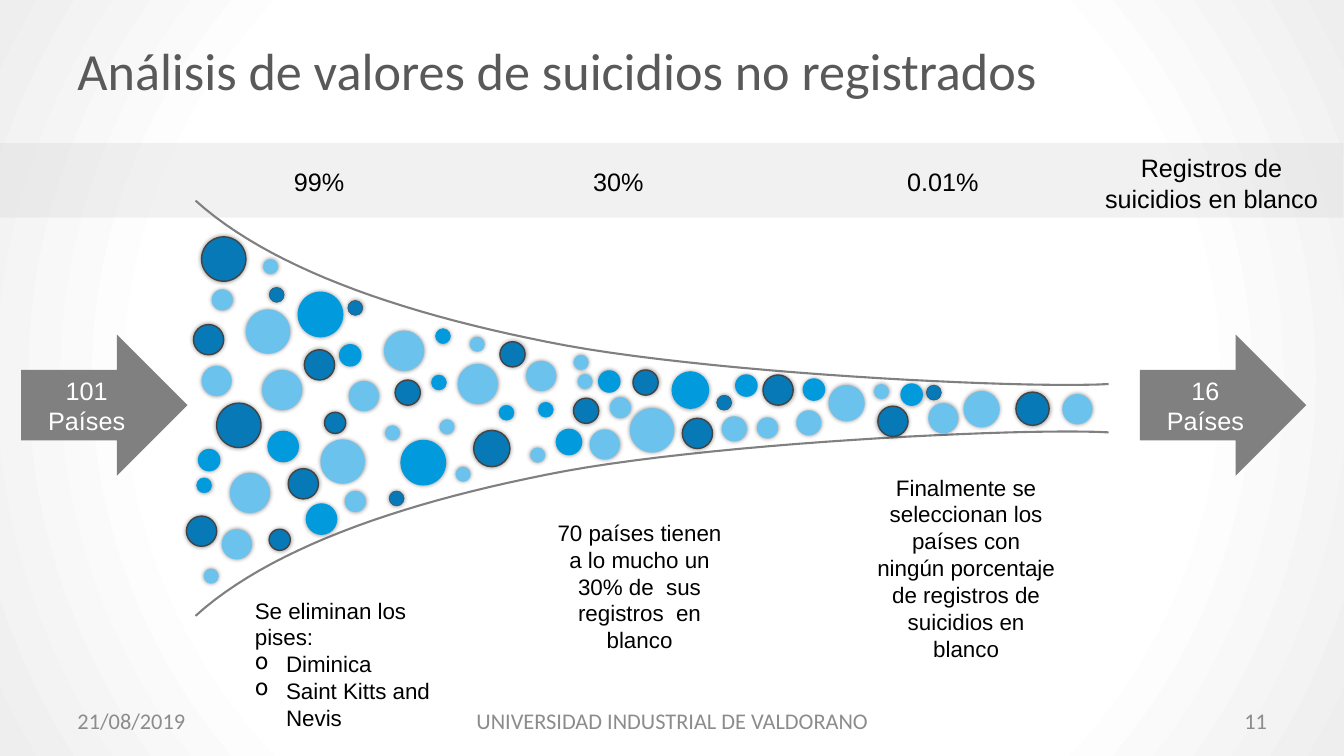
"""Build the funnel slide on unregistered suicide values."""
from dataclasses import dataclass

from lxml import etree
from pptx import Presentation
from pptx import util as u
from pptx.dml import color
from pptx.enum import shapes, text
from pptx.oxml.ns import qn

COLORS = {
    "white": "FFFFFF", "edge": "EEEEEE", "band": "D9D9D9", "gray": "808080",
    "title": "595959", "footer": "8C8C8C", "black": "000000", "outline": "434343",
    "light": "6BC2ED", "mid": "019ADD", "dark": "0779B7",
}
OUTLINES = {"light": None, "mid": "mid", "dark": "outline"}
ALIGN = {"l": text.PP_ALIGN.LEFT, "c": text.PP_ALIGN.CENTER, "r": text.PP_ALIGN.RIGHT}
MIRROR = 8.1
STEPS = 24
FUNNEL = [
    [(11, 3.81), (10.15, 3.86), (6.93, 3.7), (5.42, 3.39)],
    [(5.42, 3.39), (3.91, 3.09), (2.66, 2.64), (1.94, 1.99)],
]


@dataclass
class Dot:
    left: float
    top: float
    size: float
    tone: str


@dataclass
class Label:
    words: str
    left: float
    top: float
    width: float
    height: float
    size: float = 18
    font: str = "Arial"
    tone: str = "black"
    align: str = "c"
    middle: bool = True


DOTS = {
    "light": [
        (2.6, 3.67, 0.4), (3.18, 4.36, 0.44), (3.42, 4.87, 0.21), (4.54, 3.61, 0.4),
        (3.81, 3.28, 0.4), (5.22, 3.58, 0.3), (4.36, 4.16, 0.15), (5.26, 4.44, 0.15),
        (3.82, 4.22, 0.15), (4.52, 4.63, 0.15), (4.66, 3.34, 0.15), (3.46, 3.78, 0.3),
        (2.61, 2.57, 0.15), (2.44, 3.07, 0.44), (2.1, 2.87, 0.21), (2, 3.63, 0.3),
        (2.28, 4.69, 0.4), (2.2, 5.25, 0.3), (2.02, 5.64, 0.15), (7.16, 4.13, 0.25),
        (6.25, 4.05, 0.44), (6.05, 3.94, 0.21), (5.85, 4.26, 0.3), (5.69, 3.52, 0.15),
        (5.73, 3.71, 0.15), (8.22, 3.82, 0.36), (9.21, 4, 0.3), (7.9, 4.07, 0.25),
        (8.67, 3.81, 0.15), (7.51, 4.14, 0.21), (10.54, 3.91, 0.3), (9.56, 3.88, 0.36),
    ],
    "mid": [
        (2.96, 2.9, 0.44), (3.37, 3.42, 0.21), (3.98, 4.37, 0.44), (5.34, 3.99, 0.15),
        (4.32, 3.26, 0.15), (4.95, 4.02, 0.15), (4.28, 3.72, 0.15), (2.66, 4.28, 0.3),
        (1.95, 4.74, 0.15), (3.04, 5, 0.3), (1.97, 4.46, 0.21), (6.67, 3.69, 0.36),
        (7.3, 3.72, 0.21), (5.94, 3.68, 0.21), (8.94, 3.81, 0.21), (7.97, 3.76, 0.21),
        (5.52, 4.26, 0.25),
    ],
    "dark": [
        (2, 2.35, 0.44), (3.22, 4.09, 0.21), (4.7, 4.27, 0.36), (3.92, 3.77, 0.25),
        (3.86, 4.87, 0.15), (4.96, 3.39, 0.25), (2.15, 4, 0.44), (3.02, 3.47, 0.3),
        (1.92, 3.22, 0.3), (3.45, 2.98, 0.15), (2.67, 2.85, 0.15), (2.67, 5.25, 0.21),
        (2.86, 4.65, 0.3), (1.85, 5.12, 0.3), (6.77, 4.15, 0.3), (6.28, 3.67, 0.25),
        (7.11, 3.92, 0.15), (5.69, 3.95, 0.25), (8.71, 4.03, 0.3), (9.19, 3.82, 0.15),
        (7.57, 3.72, 0.3), (10.08, 3.89, 0.33),
    ],
}
TITLE = Label("Análisis de valores de suicidios no registrados", 0.67, 0.3, 12, 0.78,
              size=37.3, font="Calibri", tone="title", align="l")
FOOTER = {"size": 16, "font": "Calibri", "tone": "footer"}
NOTE = {"size": 16, "middle": False}
LABELS = [
    Label("99%", 2.17, 1.44, 1.99, 0.73),
    Label("30%", 5.18, 1.44, 1.91, 0.73),
    Label("0.01%", 8.41, 1.44, 1.89, 0.73),
    Label("Registros de suicidios en blanco", 10.85, 1.45, 2.34, 0.73),
    Label("70 países tienen a lo mucho un 30% de  sus registros  en blanco",
          5.35, 5.1, 1.99, 1.23, **NOTE),
    Label("Finalmente se seleccionan los países con ningún porcentaje de registros "
          "de suicidios en blanco", 8.59, 4.65, 1.99, 1.23, **NOTE),
    Label("21/08/2019", 0.67, 6.95, 3.11, 0.4, align="l", **FOOTER),
    Label("UNIVERSIDAD INDUSTRIAL DE VALDORANO", 4.56, 6.95, 4.22, 0.4, **FOOTER),
    Label("11", 9.56, 6.95, 3.11, 0.4, align="r", **FOOTER),
]
REMOVED = Label("Se eliminan los pises:", 2.43, 5.87, 1.99, 1.23, align="l", **NOTE)
REMOVED_COUNTRIES = ["Diminica", "Saint Kitts and Nevis"]
ARROWS = [
    Label("101 Países", 0.21, 3.32, 1.65, 1.4, tone="white"),
    Label("16 Países", 11.31, 3.32, 1.65, 1.4, tone="white"),
]


def cm(inches: float) -> u.Length:
    return u.Cm(inches * 2.54)


def rgb(name: str) -> color.RGBColor:
    return color.RGBColor.from_string(COLORS[name])


def add_alpha(parent, percent: int) -> None:
    etree.SubElement(parent, qn("a:alpha"), val=str(percent * 1000))


def write(p, words: str, *, size: float, font: str, tone: str, align: str) -> None:
    p.alignment = ALIGN[align]
    r = p.add_run()
    r.text = words
    r.font.size, r.font.name = u.Pt(size), font
    r.font.color.rgb = rgb(tone)


def write_label(sp, label: Label, bullets: list[str]) -> None:
    tf = sp.text_frame
    tf.word_wrap = True
    tf.vertical_anchor = text.MSO_ANCHOR.MIDDLE if label.middle else text.MSO_ANCHOR.TOP
    style = {"size": label.size, "font": label.font, "tone": label.tone, "align": label.align}
    write(tf.paragraphs[0], label.words, **style)
    for words in bullets:
        p = tf.add_paragraph()
        write(p, words, **style)
        pPr = p._p.get_or_add_pPr()
        indent = cm(0.31)
        pPr.set("marL", str(indent))
        pPr.set("indent", str(-indent))
        etree.SubElement(pPr, qn("a:buChar"), char="o")


def add_label(s, label: Label, bullets: list[str] = ()) -> None:
    sp = s.shapes.add_textbox(*map(cm, (label.left, label.top, label.width, label.height)))
    write_label(sp, label, bullets)


def add_filled(s, kind, box: tuple, fill: str):
    sp = s.shapes.add_shape(kind, *map(cm, box))
    sp.shadow.inherit = False
    sp.fill.solid()
    sp.fill.fore_color.rgb = rgb(fill)
    sp.line.fill.background()
    return sp


def add_dot(s, dot: Dot) -> None:
    sp = add_filled(s, shapes.MSO_SHAPE.OVAL, (dot.left, dot.top, dot.size, dot.size), dot.tone)
    if OUTLINES[dot.tone]:
        sp.line.color.rgb = rgb(OUTLINES[dot.tone])
        sp.line.width = u.Pt(0.25 if dot.size < 0.2 else 1)
    effects = sp.element.spPr.find(qn("a:effectLst"))
    shadow = etree.SubElement(effects, qn("a:outerShdw"), blurRad=str(u.Pt(3)), dist="0", dir="0")
    add_alpha(etree.SubElement(shadow, qn("a:srgbClr"), val=COLORS["black"]), 40)


def bezier(curve: list, t: float) -> tuple[float, float]:
    weights = ((1 - t) ** 3, 3 * t * (1 - t) ** 2, 3 * t * t * (1 - t), t ** 3)
    x, y = (sum(w * point[i] for w, point in zip(weights, curve)) for i in (0, 1))
    return x, y


def add_funnel_side(s, lower: bool) -> None:
    points = [bezier(curve, i / STEPS) for curve in FUNNEL for i in range(STEPS + 1)]
    start, *rest = [(cm(x), cm(MIRROR - y if lower else y)) for x, y in points]
    builder = s.shapes.build_freeform(*start)
    builder.add_line_segments(rest, close=False)
    sp = builder.convert_to_shape()
    sp.shadow.inherit = False
    sp.fill.background()
    sp.line.color.rgb = rgb("gray")
    sp.line.width = u.Pt(1.5)


def paint_background(s) -> None:
    fill = s.background.fill
    fill.gradient()
    for stop, position, name in zip(fill.gradient_stops, (0.67, 1), ("white", "edge")):
        stop.position = position
        stop.color.rgb = rgb(name)
    grad = s.element.find(".//" + qn("a:gradFill"))
    grad.remove(grad.find(qn("a:lin")))
    radial = etree.SubElement(grad, qn("a:path"))
    radial.set("path", "circle")
    etree.SubElement(radial, qn("a:fillToRect"), l="50000", t="50000", r="50000", b="50000")


def main() -> None:
    prs = Presentation()
    prs.slide_width, prs.slide_height = u.Cm(33.87), u.Cm(19.05)
    s = prs.slides.add_slide(prs.slide_layouts[6])
    paint_background(s)
    band = add_filled(s, shapes.MSO_SHAPE.RECTANGLE, (0, 1.42, 13.33, 0.74), "band")
    add_alpha(band.element.spPr.find(".//" + qn("a:srgbClr")), 36)
    for lower in (False, True):
        add_funnel_side(s, lower)
    add_label(s, TITLE)
    for tone, places in DOTS.items():
        for place in places:
            add_dot(s, Dot(*place, tone))
    for label in LABELS:
        add_label(s, label)
    add_label(s, REMOVED, REMOVED_COUNTRIES)
    for arrow in ARROWS:
        box = (arrow.left, arrow.top, arrow.width, arrow.height)
        write_label(add_filled(s, shapes.MSO_SHAPE.RIGHT_ARROW, box, "gray"), arrow, [])
    prs.save("out.pptx")


if __name__ == "__main__":
    main()
